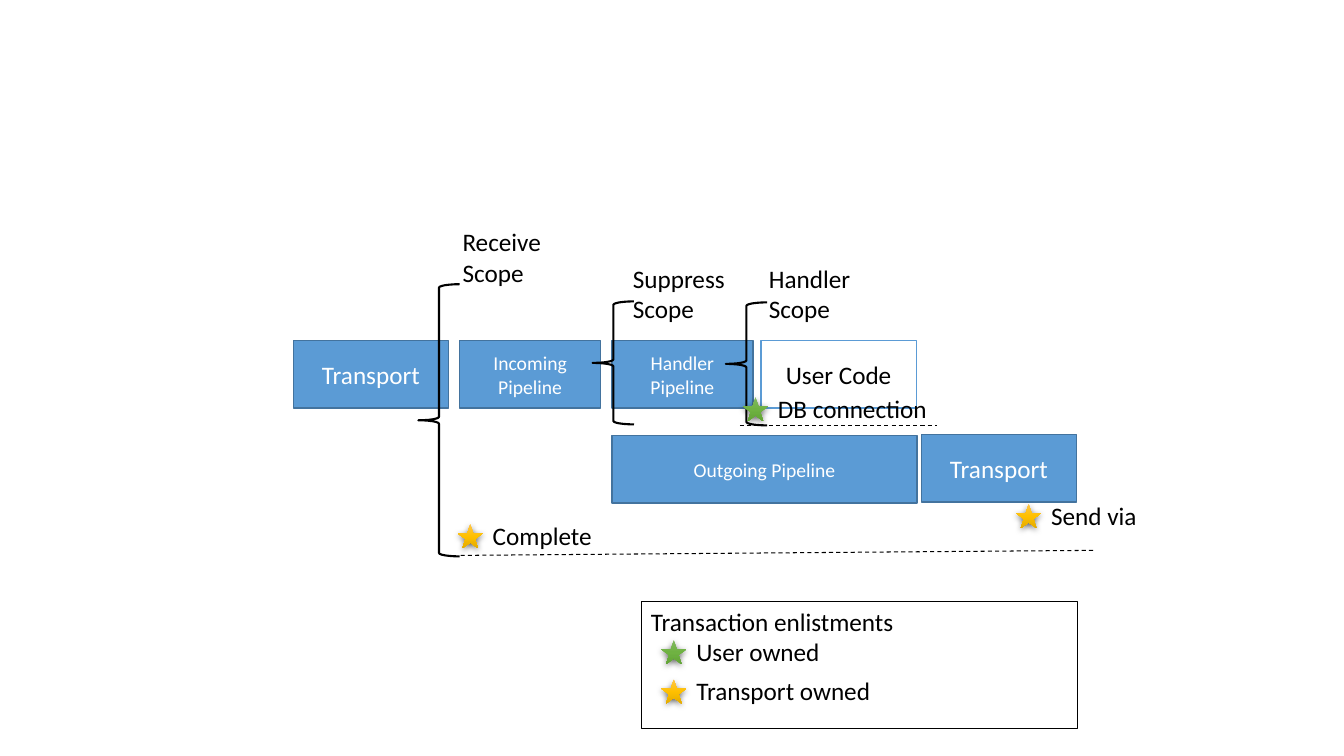
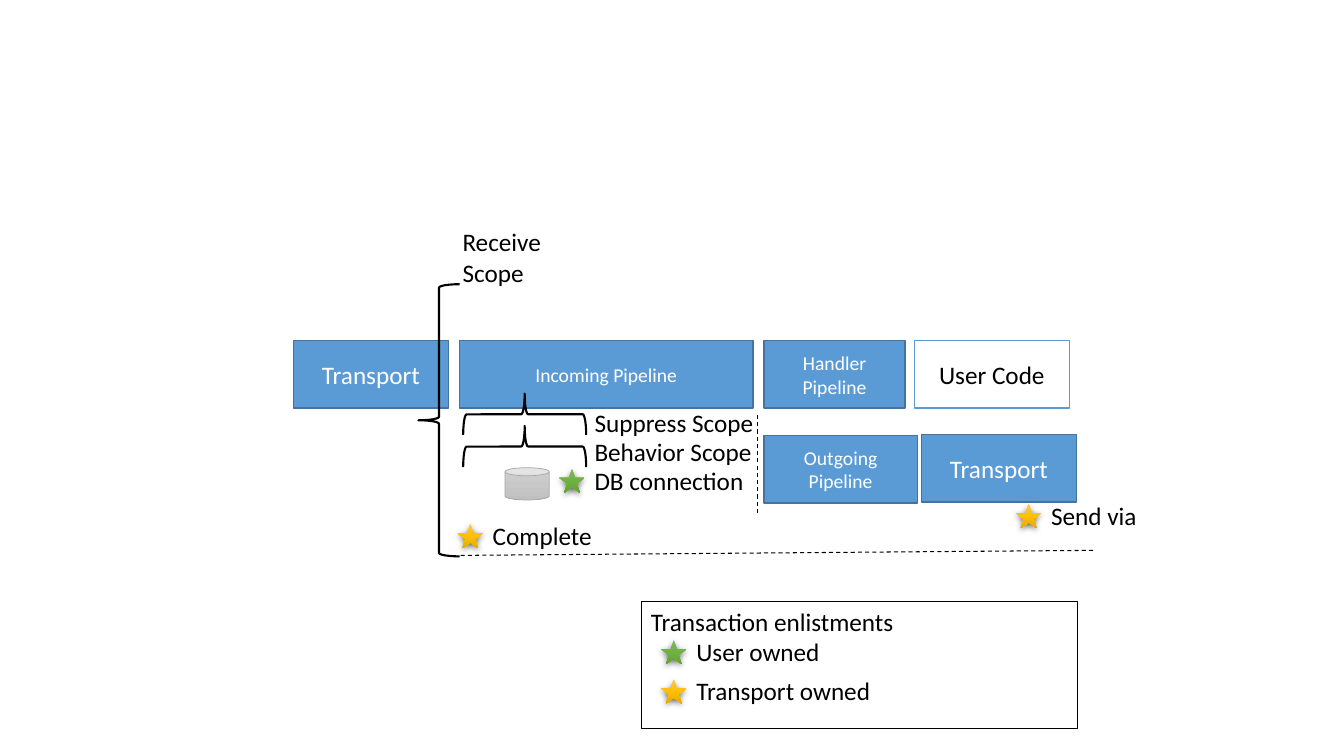
"""Build two slides on transaction scopes in a message pipeline."""
from dataclasses import dataclass
from typing import Any

from lxml.etree import SubElement
from pptx import Presentation
from pptx.dml.color import RGBColor
from pptx.enum.dml import MSO_LINE
from pptx.enum.shapes import MSO_CONNECTOR, MSO_SHAPE
from pptx.enum.text import MSO_ANCHOR, MSO_AUTO_SIZE, PP_ALIGN
from pptx.oxml.ns import qn
from pptx.util import Emu, Inches, Pt

RECT, STAR, CAN = MSO_SHAPE.RECTANGLE, MSO_SHAPE.STAR_5_POINT, MSO_SHAPE.CAN
BRACE, LINE, DASH = MSO_SHAPE.LEFT_BRACE, MSO_CONNECTOR.STRAIGHT, MSO_LINE.DASH
TOP, MID = MSO_ANCHOR.TOP, MSO_ANCHOR.MIDDLE
LEFT, MIDST = PP_ALIGN.LEFT, PP_ALIGN.CENTER
GROW = MSO_AUTO_SIZE.SHAPE_TO_FIT_TEXT

WIDTH, HEIGHT = Inches(40 / 3), Inches(7.5)
COLS, ROWS = 160, 90
FONT, SMALL, LARGE = "Calibri", 14, 18
HUES = {"blue": "5B9BD5", "navy": "43739E", "white": "FFFFFF", "black": "000000", "gray": "A5A5A5"}
BLENDS = {
    "gold": ("FFC64B", "FFC000", "E3AB00"),
    "green": ("81B861", "6FB242", "62A336"),
    "steel": ("D2D2D2", "C8C8C8", "C0C0C0"),
}
WIDE, SLIM, HIGH = 18.48, 16.8, 8.04
UPPER, LOWER = 40.56, 51.84
STEP, SCOPE = 3.42, 47.88


@dataclass(frozen=True)
class Box:
    """A stage of the pipeline."""
    text: str
    x: float
    y: float
    w: float
    size: int = SMALL
    fill: str = "blue"
    edge: str = "navy"
    ink: str = "white"


@dataclass(frozen=True)
class Brace:
    """A bracket that spans a scope."""
    x: float
    y: float
    h: float = 14.64
    turn: int = 0


@dataclass(frozen=True)
class Mark:
    """A star with its label."""
    text: str
    x: float
    y: float
    w: float
    blend: str = "gold"


@dataclass(frozen=True)
class Label:
    """The name of a scope, one paragraph a line."""
    lines: tuple[str, ...]
    x: float
    y: float
    w: float
    wrap: bool = False


@dataclass(frozen=True)
class Rule:
    """A dashed line between two points."""
    x: float
    y: float
    to_x: float
    to_y: float


@dataclass(frozen=True)
class Can:
    """A data store."""
    x: float
    y: float


@dataclass(frozen=True)
class Panel:
    """The frame of the legend."""
    text: str
    x: float
    y: float
    w: float
    h: float


def col(count: float) -> Emu:
    """Turn columns into a length."""
    return Emu(round(WIDTH * count / COLS))


def row(count: float) -> Emu:
    """Turn rows into a length."""
    return Emu(round(HEIGHT * count / ROWS))


def area(x: float, y: float, w: float, h: float) -> tuple[Emu, Emu, Emu, Emu]:
    """Turn grid units into a frame."""
    return col(x), row(y), col(w), row(h)


def hue(name: str) -> RGBColor:
    """Look up a colour."""
    return RGBColor.from_string(HUES[name])


def stroke(line: Any, name: str, width: float) -> None:
    """Set the colour and width of a line."""
    line.color.rgb = hue(name)
    line.width = Pt(width)


def shape(host: Any, kind: Any, frame: tuple[Emu, Emu, Emu, Emu]) -> Any:
    """Add a plain shape with neither fill nor shadow."""
    item = host.add_shape(kind, *frame)
    item.shadow.inherit = False
    item.fill.background()
    return item


def write(item: Any, lines: tuple[str, ...], size: int, ink: str, align: Any, anchor: Any) -> None:
    """Write one paragraph a line."""
    frame = item.text_frame
    frame.vertical_anchor = anchor
    for spot, text in enumerate(lines):
        para = frame.add_paragraph() if spot else frame.paragraphs[0]
        para.alignment = align
        run = para.add_run()
        run.text = text
        run.font.name, run.font.size = FONT, Pt(size)
        run.font.color.rgb = hue(ink)


def shade(item: Any, blend: str) -> None:
    """Fill with a three-step blend from top to base."""
    item.fill.gradient()
    item.fill.gradient_angle = 270
    stops = item.element.spPr.find(".//" + qn("a:gsLst"))
    stops.clear()
    for spot, code in enumerate(BLENDS[blend]):
        stop = SubElement(stops, qn("a:gs"), pos=str(spot * 50000))
        SubElement(stop, qn("a:srgbClr"), val=code)


def cast(item: Any) -> None:
    """Add a soft shadow below."""
    glow = SubElement(item.element.spPr.find(qn("a:effectLst")), qn("a:outerShdw"),
                      blurRad=str(Pt(4.5)), dist=str(Pt(1.5)), dir="5400000", algn="ctr", rotWithShape="0")
    tint = SubElement(glow, qn("a:srgbClr"), val=HUES["black"])
    SubElement(tint, qn("a:alpha"), val="63000")


def draw_box(host: Any, box: Box) -> None:
    """Draw a stage."""
    item = shape(host, RECT, area(box.x, box.y, box.w, HIGH))
    item.fill.solid()
    item.fill.fore_color.rgb = hue(box.fill)
    stroke(item.line, box.edge, 1)
    write(item, (box.text,), box.size, box.ink, MIDST, MID)


def draw_brace(host: Any, brace: Brace) -> None:
    """Draw a bracket."""
    item = shape(host, BRACE, area(brace.x, brace.y, 4.92, brace.h))
    item.rotation = brace.turn
    stroke(item.line, "black", 1.5)


def draw_label(host: Any, label: Label) -> None:
    """Draw a label."""
    high = 4.8 + 3.72 * (len(label.lines) - 1)
    item = host.add_textbox(*area(label.x, label.y, label.w, high))
    item.text_frame.word_wrap = label.wrap
    item.text_frame.auto_size = GROW
    write(item, label.lines, LARGE, "black", LEFT, TOP)


def draw_mark(host: Any, mark: Mark) -> None:
    """Draw a star and its label as a group."""
    group = host.add_group_shape().shapes
    star = shape(group, STAR, area(mark.x, mark.y, 3, 2.88))
    shade(star, mark.blend)
    star.line.fill.background()
    cast(star)
    draw_label(group, Label((mark.text,), mark.x + 3, mark.y - 1.02, mark.w))


def draw_rule(host: Any, rule: Rule) -> None:
    """Draw a dashed line."""
    item = host.add_connector(LINE, col(rule.x), row(rule.y), col(rule.to_x), row(rule.to_y))
    stroke(item.line, "black", 0.75)
    item.line.dash_style = DASH
    SubElement(item.element.spPr, qn("a:effectLst"))


def draw_can(host: Any, can: Can) -> None:
    """Draw a data store."""
    item = shape(host, CAN, area(can.x, can.y, 5.28, 3.84))
    shade(item, "steel")
    stroke(item.line, "gray", 0.5)


def draw_panel(host: Any, panel: Panel) -> None:
    """Draw the legend frame."""
    item = shape(host, RECT, area(panel.x, panel.y, panel.w, panel.h))
    stroke(item.line, "black", 0.75)
    write(item, (panel.text,), LARGE, "black", LEFT, TOP)


PENS = {Box: draw_box, Brace: draw_brace, Mark: draw_mark, Label: draw_label,
        Rule: draw_rule, Can: draw_can, Panel: draw_panel}


def stages(inner: float, user: float, intake: float, out: float) -> tuple[Box, ...]:
    """List the stages that change place or width."""
    return (
        Box("Handler Pipeline", inner, UPPER, SLIM),
        Box("Incoming Pipeline", 54.72, UPPER, intake),
        Box("User Code", user, UPPER, WIDE, LARGE, "white", "blue", "black"),
        Box("Outgoing Pipeline", inner, LOWER, out),
    )


SHARED = (
    Box("Transport", 34.92, UPPER, WIDE, LARGE),
    Box("Transport", 109.68, 51.72, WIDE, LARGE),
    Brace(49.8, 33.84, 32.4),
    Label(("Receive", "Scope"), 53.88, 26.4, 11.88),
    Mark("Send via", 120.96, 60, 12.72),
    Mark("Complete", 54.48, 62.4, 14.4),
    Rule(54.84, 66.12, 130.32, 65.52),
    Panel("Transaction enlistments", 76.32, 71.64, 51.96, 15.12),
    Mark("User owned", 78.72, 76.2, 17.28, "green"),
    Mark("Transport owned", 78.72, 80.88, 24.24),
)
HANDLER = stages(72.84, 90.6, SLIM, 36.36) + (
    Brace(86.4, 36),
    Brace(70.56, 35.88),
    Mark("DB connection", 88.44, 47.28, 20.4, "green"),
    Label(("Handler", "Scope"), 90.36, 30.72, 12.24),
    Label(("Suppress", "Scope"), 74.16, 30.72, 13.44),
    Rule(88.08, 50.64, 111.6, 50.64),
)
INTAKE = stages(90.96, 108.84, 34.92, 18.24) + (
    Brace(60, 45.84, turn=90),
    Brace(60, 42, turn=90),
    Mark("DB connection", 66.6, 55.8, 20.4, "green"),
    Label(("Suppress Scope",), 69.6, SCOPE, 22.2, True),
    Label(("Behavior Scope",), 69.6, SCOPE + STEP, 23.64, True),
    Rule(90.24, 61.08, 90.24, 49.32),
    Can(60.12, 55.68),
)


def main() -> None:
    """Draw both slides and save them."""
    deck = Presentation()
    deck.slide_width, deck.slide_height = WIDTH, HEIGHT
    for parts in (HANDLER, INTAKE):
        host = deck.slides.add_slide(deck.slide_layouts[6]).shapes
        for part in parts[:4] + SHARED + parts[4:]:
            PENS[type(part)](host, part)
    deck.save("out.pptx")


main()
